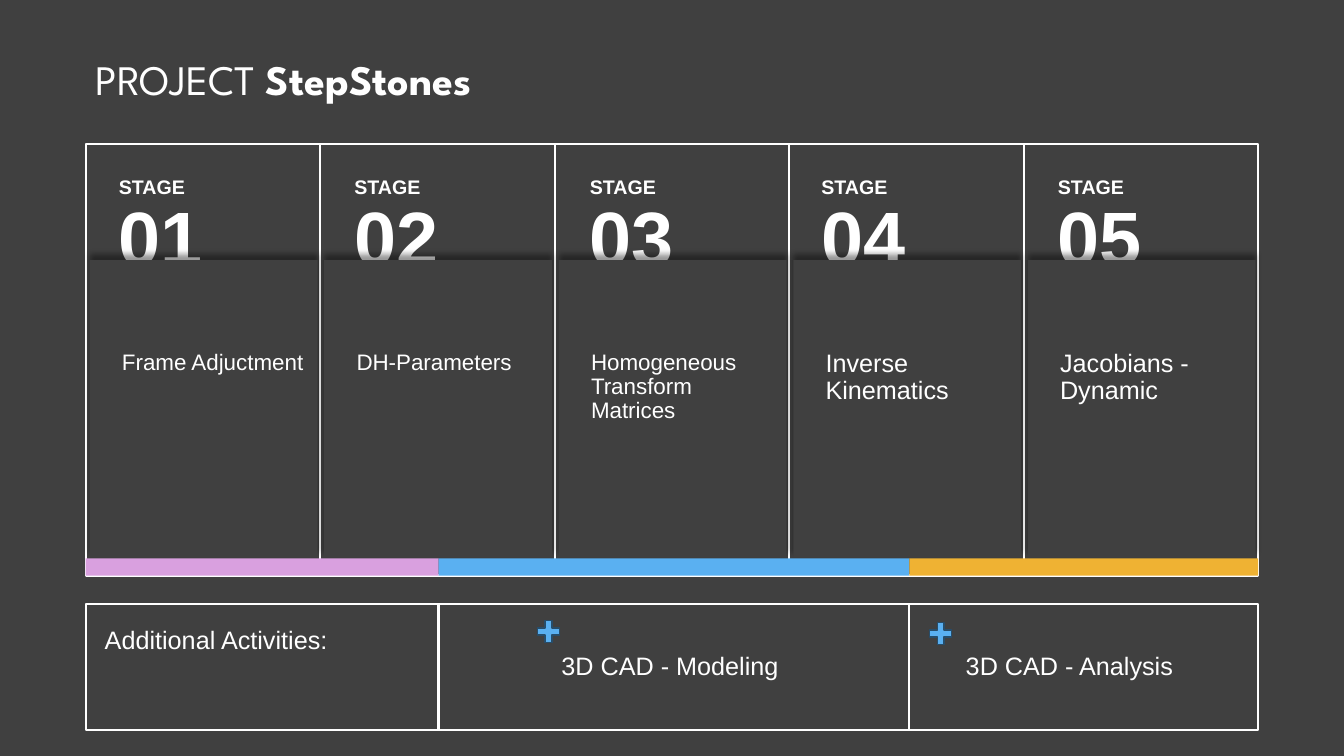
import pptx
import pptx.util
import pptx.dml.color
import pptx.enum.shapes
import pptx.enum.text
import pptx.oxml
import pptx.oxml.ns

PX = 9144  # EMU per px, 100 px to the inch
COLORS = {"ground": "404040", "white": "FFFFFF", "gold": "EFB233",
          "blue": "5AB0F1", "pink": "D9A0DF", "plus_line": "274D6A"}
SHAPE = pptx.enum.shapes.MSO_SHAPE
ANCHOR = pptx.enum.text.MSO_ANCHOR

# number, label indent, task, task size in points
STAGES = [("01", 23, "Frame Adjuctment", 16),
          ("02", 24, "DH-Parameters", 16),
          ("03", 25, "Homogeneous Transform Matrices", 16),
          ("04", 22, "Inverse Kinematics", 18),
          ("05", 24, "Jacobians - Dynamic", 18)]
# left, width, bar colour
PHASES = [(85, 350, "pink"), (435, 467, "blue"), (902, 346, "gold")]


def px(*lengths):
    return [pptx.util.Emu(round(n * PX)) for n in lengths]


def rgb(name):
    return pptx.dml.color.RGBColor.from_string(COLORS[name])


def add_block(s, box, fill=None, line=None, weight=1.5, kind=SHAPE.RECTANGLE):
    sp = s.shapes.add_shape(kind, *px(*box))
    sp.shadow.inherit = False
    if fill:
        sp.fill.solid()
        sp.fill.fore_color.rgb = rgb(fill)
    else:
        sp.fill.background()
    if line:
        sp.line.color.rgb = rgb(line)
        sp.line.width = pptx.util.Pt(weight)
    else:
        sp.line.fill.background()
    return sp


def write(sp, runs, size, font="Arial", anchor=ANCHOR.TOP, insets=(10, 5, 10, 5),
          spacing=0.9, wrap=True):
    """Fill a shape with one left-aligned paragraph of (text, bold) runs."""
    tf = sp.text_frame
    tf.word_wrap = wrap
    tf.vertical_anchor = anchor
    tf.margin_left, tf.margin_top, tf.margin_right, tf.margin_bottom = px(*insets)
    p = tf.paragraphs[0]
    p.alignment = pptx.enum.text.PP_ALIGN.LEFT
    p.line_spacing = spacing
    for text, bold in runs:
        r = p.add_run()
        r.text = text
        r.font.name = font
        r.font.size = pptx.util.Pt(size)
        r.font.bold = bold
        r.font.color.rgb = rgb("white")


def add_text(s, box, runs, size, **style):
    write(s.shapes.add_textbox(*px(*box)), runs, size, **style)


def add_divider(s, x, top, bottom):
    line = s.shapes.add_connector(pptx.enum.shapes.MSO_CONNECTOR.STRAIGHT,
                                  *px(x, top, x, bottom))
    line.line.color.rgb = rgb("white")
    line.line.width = pptx.util.Pt(1.5)
    line._element.spPr.append(pptx.oxml.parse_xml(
        "<a:effectLst %s/>" % pptx.oxml.ns.nsdecls("a")))


def add_upward_shadow(sp):
    effects = sp._element.spPr.find(pptx.oxml.ns.qn("a:effectLst"))
    effects.append(pptx.oxml.parse_xml(
        '<a:outerShdw %s blurRad="50800" dist="50800" dir="16200000" algn="b" '
        'rotWithShape="0"><a:srgbClr val="000000"><a:alpha val="40000"/>'
        '</a:srgbClr></a:outerShdw>' % pptx.oxml.ns.nsdecls("a")))


def add_stage(s, left, top, stage):
    number, indent, task, size = stage
    label_x = left + indent
    add_text(s, (label_x, top + 10, 157, 49), [("STAGE", True)], 14,
             anchor=ANCHOR.BOTTOM)
    add_text(s, (label_x, top + 56, 157, 72), [(number, True)], 54,
             insets=(10, 0, 10, 0))
    card = add_block(s, (left + 4, top + 115, 226, 295), fill="ground")
    add_upward_shadow(card)
    write(card, [(task, False)], size, insets=(32, 90, 10, 5))


def add_stage_board(s, left, top, width, height):
    pitch = width / len(STAGES)
    add_block(s, (left, top, width, height), line="white")
    for i in range(1, len(STAGES)):
        add_divider(s, left + i * pitch, top, top + height)
    for x, bar_width, color in PHASES:
        add_block(s, (x, top + height - 17, bar_width, 17), fill=color)
    for i, stage in enumerate(STAGES):
        add_stage(s, left + i * pitch, top, stage)


def add_activities(s, top, height):
    for x, width, _ in PHASES:
        add_block(s, (x, top, width, height), line="white")
    add_text(s, (94, top + 15, 249, 40), [("Additional Activities:", False)], 18,
             spacing=1.0)
    for text_x, plus_x, plus_dy, name in [(547, 529, 13, "3D CAD - Modeling"),
                                          (948, 918, 15, "3D CAD - Analysis")]:
        add_text(s, (text_x, top + 41, 248, 40), [(name, False)], 18,
                 spacing=1.0, wrap=False)
        add_block(s, (plus_x, top + plus_dy, 30, 29), fill="blue",
                  line="plus_line", weight=1, kind=SHAPE.MATH_PLUS)


def main():
    prs = pptx.Presentation()
    prs.slide_width, prs.slide_height = px(1333, 750)
    s = prs.slides.add_slide(prs.slide_layouts[6])
    s.background.fill.solid()
    s.background.fill.fore_color.rgb = rgb("ground")
    add_text(s, (85, 31, 1164, 100), [("PROJECT ", False), ("StepStones", True)],
             30, font="League Spartan", anchor=ANCHOR.MIDDLE)
    add_stage_board(s, 85, 143, 1163, 428)
    add_activities(s, 599, 125)
    prs.save("out.pptx")


if __name__ == "__main__":
    main()
